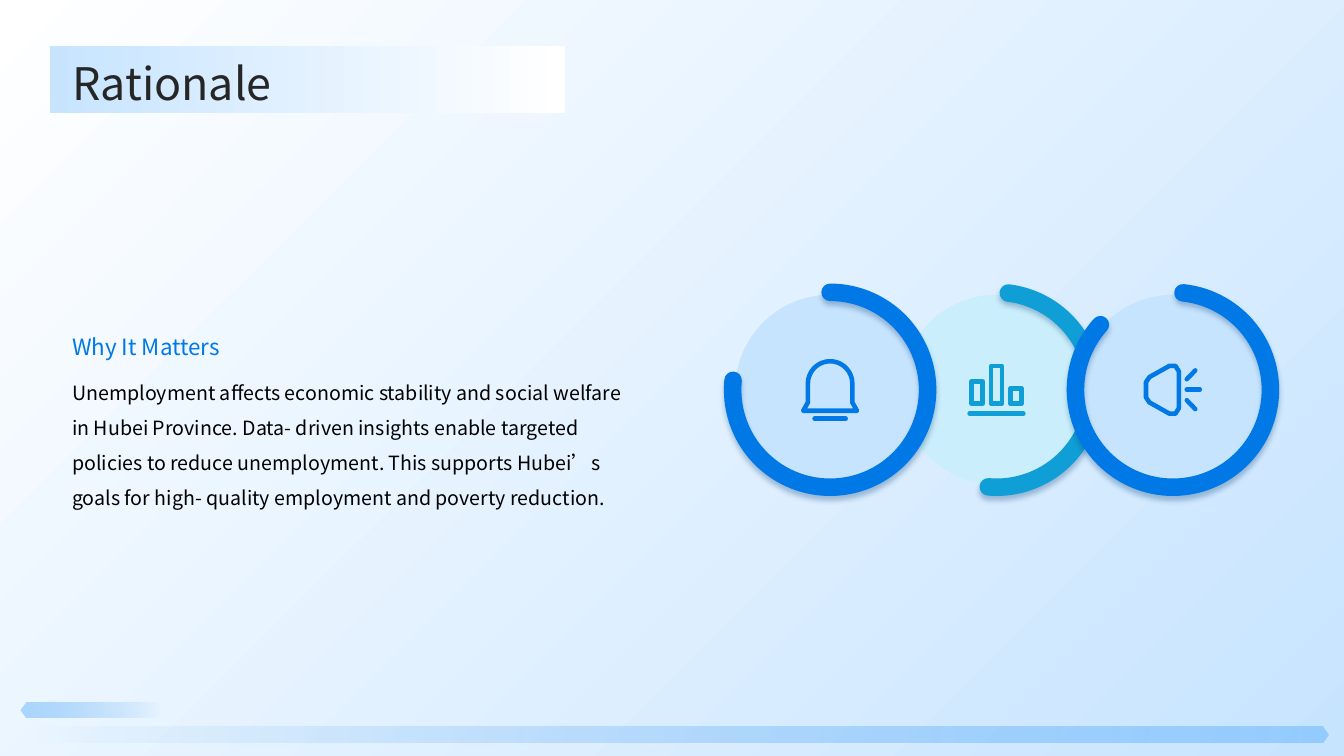
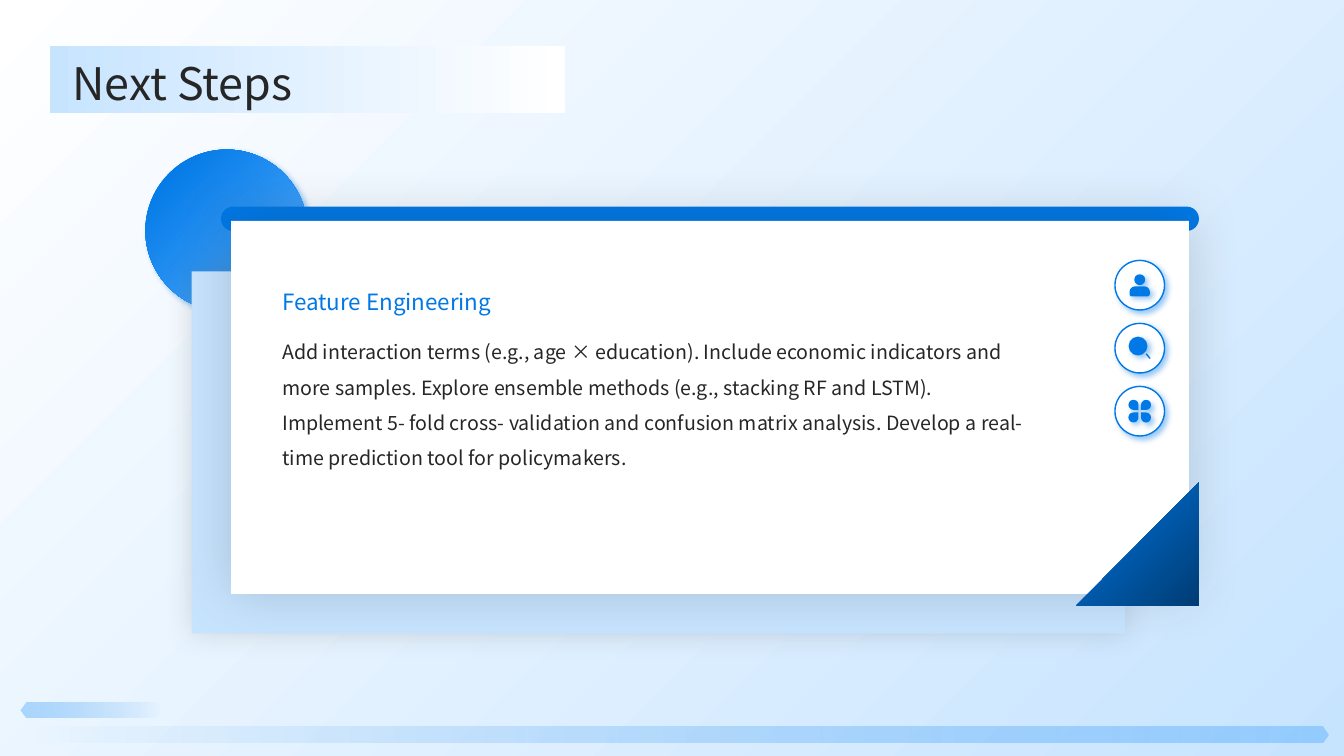
from dataclasses import dataclass
from itertools import product
from math import cos, pi, sin
from typing import Optional, Union

from lxml.etree import SubElement
from pptx import Presentation
from pptx.dml.color import RGBColor
from pptx.enum.shapes import MSO_CONNECTOR as Link, MSO_SHAPE as Preset
from pptx.enum.text import MSO_ANCHOR as Anchor
from pptx.oxml.ns import qn
from pptx.util import Emu, Inches, Pt

BLUE = RGBColor(0x00, 0x78, 0xE6)
SKY = RGBColor(0x57, 0xAF, 0xFF)
PALE = RGBColor(0xC7, 0xE4, 0xFF)
NAVY = RGBColor(0x00, 0x3C, 0x73)
TEAL = RGBColor(0x0F, 0x9E, 0xD5)
AQUA = RGBColor(0xCA, 0xEE, 0xFB)
WHITE = RGBColor(0xFF, 0xFF, 0xFF)
BLACK = RGBColor(0x00, 0x00, 0x00)
INK = RGBColor(0x26, 0x26, 0x26)
GREY = RGBColor(0x59, 0x59, 0x59)
FONT = "Noto Sans CJK SC"

COLS, ROWS = 160, 90
SLIDE_W, SLIDE_H = Inches(13.33), Inches(7.5)
UNIT = SLIDE_H / ROWS
ICON_LINE = 3.25

Point = tuple[float, float]


@dataclass(frozen=True)
class Box:
    col: float
    row: float
    cols: float
    rows: float


@dataclass(frozen=True)
class Gradient:
    start: RGBColor
    end: RGBColor
    angle: float
    start_at: float = 0
    opacity: tuple[int, int] = (100, 100)


@dataclass(frozen=True)
class Shadow:
    color: RGBColor
    opacity: int
    blur: float
    distance: float = 0
    angle: float = 0


@dataclass(frozen=True)
class TextStyle:
    size: float
    color: RGBColor
    spacing: float
    anchor: Anchor = Anchor.TOP


@dataclass(frozen=True)
class Ring:
    col: float
    disc: RGBColor
    color: RGBColor
    start: float
    end: float
    icon: tuple[tuple[Point, ...], ...]


Fill = Union[RGBColor, Gradient, None]

TITLE = TextStyle(32, INK, 1.1, Anchor.MIDDLE)
HEADING = TextStyle(16, BLUE, 1.5, Anchor.BOTTOM)
CARD_HEADING = TextStyle(16, BLUE, 1.3, Anchor.BOTTOM)
BODY = TextStyle(14, BLACK, 1.5)
CARD_BODY = TextStyle(14, INK, 1.5)
GLOW = Shadow(BLUE, 40, 4, 3, 45)
RING_SHADOW = Shadow(NAVY, 30, 4, 3, 90)


def units(count: float) -> Emu:
    return Emu(round(count * UNIT))


def around(center: Point, cols: float, rows: float) -> Box:
    return Box(center[0] - cols / 2, center[1] - rows / 2, cols, rows)


def paint(shape, fill: Fill, shadow: Optional[Shadow] = None) -> None:
    shape.shadow.inherit = False
    if fill is None:
        shape.fill.background()
    elif isinstance(fill, Gradient):
        shape.fill.gradient()
        shape.fill.gradient_angle = (360 - fill.angle) % 360
        first, last = shape.fill.gradient_stops
        first.color.rgb, first.position = fill.start, fill.start_at
        last.color.rgb, last.position = fill.end, 1
        for stop, opacity in zip(shape.element.iter(qn("a:gs")), fill.opacity):
            if opacity < 100:
                SubElement(stop[0], qn("a:alpha"), val=str(opacity * 1000))
    else:
        shape.fill.solid()
        shape.fill.fore_color.rgb = fill
    if shadow:
        effects = shape.element.spPr.find(qn("a:effectLst"))
        outer = SubElement(
            effects, qn("a:outerShdw"), blurRad=str(Pt(shadow.blur)),
            dist=str(Pt(shadow.distance)), dir=str(round(shadow.angle * 60000)),
            algn="ctr", rotWithShape="0")
        color = SubElement(outer, qn("a:srgbClr"), val=str(shadow.color))
        SubElement(color, qn("a:alpha"), val=str(shadow.opacity * 1000))


def round_line(shape, color: RGBColor, width: float) -> None:
    shape.line.color.rgb = color
    shape.line.width = Pt(width)
    outline = shape.element.spPr.find(qn("a:ln"))
    outline.set("cap", "rnd")
    SubElement(outline, qn("a:round"))


def add_preset(slide, kind: Preset, box: Box, fill: Fill,
               shadow: Optional[Shadow] = None, adjust: tuple[float, ...] = ()):
    shape = slide.shapes.add_shape(
        kind, units(box.col), units(box.row), units(box.cols), units(box.rows))
    for index, value in enumerate(adjust):
        shape.adjustments[index] = value
    paint(shape, fill, shadow)
    shape.line.fill.background()
    return shape


def add_outline(slide, points: list[Point], fill: Fill):
    corners = [(units(col), units(row)) for col, row in points]
    builder = slide.shapes.build_freeform(*corners[0])
    builder.add_line_segments(corners[1:], close=True)
    shape = builder.convert_to_shape()
    paint(shape, fill)
    shape.line.fill.background()
    return shape


def add_stroke(slide, center: Point, offsets: tuple[Point, ...],
               color: RGBColor, width: float) -> None:
    points = [(center[0] + dx, center[1] + dy) for dx, dy in offsets]
    if len(points) == 2:
        (x1, y1), (x2, y2) = points
        stroke = slide.shapes.add_connector(
            Link.STRAIGHT, units(x1), units(y1), units(x2), units(y2))
        SubElement(stroke.element.spPr, qn("a:effectLst"))
    else:
        stroke = add_outline(slide, points, None)
    round_line(stroke, color, width)


def add_text(slide, box: Box, words: str, style: TextStyle) -> None:
    frame = slide.shapes.add_textbox(
        units(box.col), units(box.row), units(box.cols), units(box.rows)).text_frame
    frame.word_wrap = True
    frame.vertical_anchor = style.anchor
    frame.margin_left = frame.margin_right = frame.margin_top = frame.margin_bottom = 0
    paragraph = frame.paragraphs[0]
    paragraph.line_spacing = style.spacing
    run = paragraph.add_run()
    run.text = words
    run.font.size = Pt(style.size)
    run.font.color.rgb = style.color
    run.font.name = FONT
    SubElement(run.font._element, qn("a:ea"), typeface=FONT)


def add_base(deck):
    slide = deck.slides.add_slide(deck.slide_layouts[6])
    add_preset(slide, Preset.RECTANGLE, Box(0, 0, COLS, ROWS), Gradient(WHITE, PALE, 45))
    for box, angle in ((Box(2.5, 86.5, 155.6, 1.9), 0), (Box(2.5, 83.6, 16.8, 1.8), 180)):
        add_preset(slide, Preset.HEXAGON, box,
                   Gradient(BLUE, SKY, angle, opacity=(0, 46)), adjust=(0.38,))
    return slide


def add_title(slide, words: str) -> None:
    add_preset(slide, Preset.RECTANGLE, Box(5.9, 5.5, 61.4, 8), Gradient(PALE, WHITE, 0))
    add_text(slide, Box(8.6, 6.4, 142.5, 6.1), words, TITLE)


def bell_icon() -> tuple[tuple[Point, ...], ...]:
    steps = 24
    dome = tuple((-2.64 * cos(pi * i / steps), -0.75 - 2.64 * sin(pi * i / steps))
                 for i in range(steps + 1))
    body = ((-3.2, 2.5), (-2.64, 1.5), *dome, (2.64, 1.5), (3.2, 2.5))
    return body, ((-1.85, 3.45), (1.85, 3.45))


def chart_icon() -> tuple[tuple[Point, ...], ...]:
    half, gap, foot = 0.66, 2.3, 1.65
    bars = tuple(
        ((x - half, top), (x + half, top), (x + half, foot), (x - half, foot))
        for x, top in zip((-gap, 0, gap), (-1, -2.8, -0.15)))
    return *bars, ((-3.2, 2.85), (3.2, 2.85))


def speaker_icon() -> tuple[tuple[Point, ...], ...]:
    upper = ((-3.2, -0.9), (-2.8, -1.5), (-0.4, -2.85), (0.3, -2.85), (0.7, -2.2))
    lower = tuple((x, -y) for x, y in reversed(upper))
    rays = tuple(((1.65, side * 1.25), (2.66, side * 2.3)) for side in (-1, 1))
    return upper + lower, ((1.65, 0), (3.2, 0)), *rays


RINGS = (
    Ring(118.6, AQUA, TEAL, 277, 94.8, chart_icon()),
    Ring(98.8, PALE, BLUE, 270, 185.57, bell_icon()),
    Ring(139.6, PALE, BLUE, 275.93, 221.91, speaker_icon()),
)


def add_ring(slide, ring: Ring) -> None:
    center = (ring.col, 46.4)
    add_preset(slide, Preset.OVAL, around(center, 22.6, 22.6), ring.disc)
    arc = add_preset(slide, Preset.ARC, around(center, 23.2, 23.2), None, RING_SHADOW,
                     (ring.start * 0.6, ring.end * 0.6))
    round_line(arc, ring.color, 12.5)
    for offsets in ring.icon:
        add_stroke(slide, center, offsets, ring.color, ICON_LINE)


def add_person(slide, center: Point) -> None:
    x, y = center
    add_preset(slide, Preset.OVAL, around((x, y - 0.65), 1.3, 1.3), BLUE, GLOW)
    add_preset(slide, Preset.ROUND_2_SAME_RECTANGLE, around((x, y + 0.75), 2.4, 1.2),
               BLUE, GLOW, (0.5, 0.25))


def add_magnifier(slide, center: Point) -> None:
    x, y = center
    add_preset(slide, Preset.OVAL, around((x - 0.2, y - 0.25), 2.25, 2.25), BLUE, GLOW)
    add_stroke(slide, center, ((0.8, 0.7), (1.2, 1.2)), BLUE, 1)


def add_clover(slide, center: Point) -> None:
    x, y = center
    for (dx, dy), turn in zip(product((-0.75, 0.75), repeat=2), (90, 0, 180, 270)):
        petal = add_preset(slide, Preset.TEAR, around((x + dx, y + dy), 1.2, 1.2), BLUE, GLOW)
        petal.rotation = turn


def build_rationale(deck) -> None:
    slide = add_base(deck)
    add_text(slide, Box(8.6, 38.4, 65.8, 4.4), "Why It Matters", HEADING)
    add_text(slide, Box(8.6, 43.9, 65.8, 32.2),
             "Unemployment affects economic stability and social welfare in Hubei Province. "
             "Data- driven insights enable targeted policies to reduce unemployment. This "
             "supports Hubei’s goals for high- quality employment and poverty reduction.", BODY)
    for ring in RINGS:
        add_ring(slide, ring)
    add_title(slide, "Rationale")


def build_next_steps(deck) -> None:
    slide = add_base(deck)
    add_preset(slide, Preset.OVAL, Box(17.3, 17.8, 19.3, 19.3),
               Gradient(BLUE, SKY, 45, 0.09), GLOW)
    add_preset(slide, Preset.ROUNDED_RECTANGLE, Box(26.3, 24.6, 116.4, 2.9), BLUE,
               adjust=(0.5,))
    add_preset(slide, Preset.RECTANGLE, Box(22.8, 32.3, 111.1, 43.1), PALE,
               Shadow(GREY, 20, 20))
    add_preset(slide, Preset.RECTANGLE, Box(27.5, 26.3, 114, 44.4), WHITE,
               Shadow(INK, 20, 40))
    add_text(slide, Box(33.6, 39.1, 89.3, 27.6),
             "Add interaction terms (e.g., age × education). Include economic indicators and "
             "more samples. Explore ensemble methods (e.g., stacking RF and LSTM). Implement "
             "5- fold cross- validation and confusion matrix analysis. Develop a real- time "
             "prediction tool for policymakers.", CARD_BODY)
    for index, add_icon in enumerate((add_person, add_magnifier, add_clover)):
        center = (135.65, 33.95 + 7.5 * index)
        badge = add_preset(slide, Preset.OVAL, around(center, 5.9, 5.9), WHITE, GLOW)
        round_line(badge, BLUE, 1)
        add_icon(slide, center)
    add_text(slide, Box(33.6, 29, 89.3, 8.5), "Feature Engineering", CARD_HEADING)
    add_outline(slide, [(142.7, 57.4), (142.7, 72.1), (128.1, 72.1)],
                Gradient(BLUE, NAVY, 45))
    add_title(slide, "Next Steps")


def main() -> None:
    deck = Presentation()
    deck.slide_width, deck.slide_height = SLIDE_W, SLIDE_H
    build_rationale(deck)
    build_next_steps(deck)
    deck.save("out.pptx")


if __name__ == "__main__":
    main()
